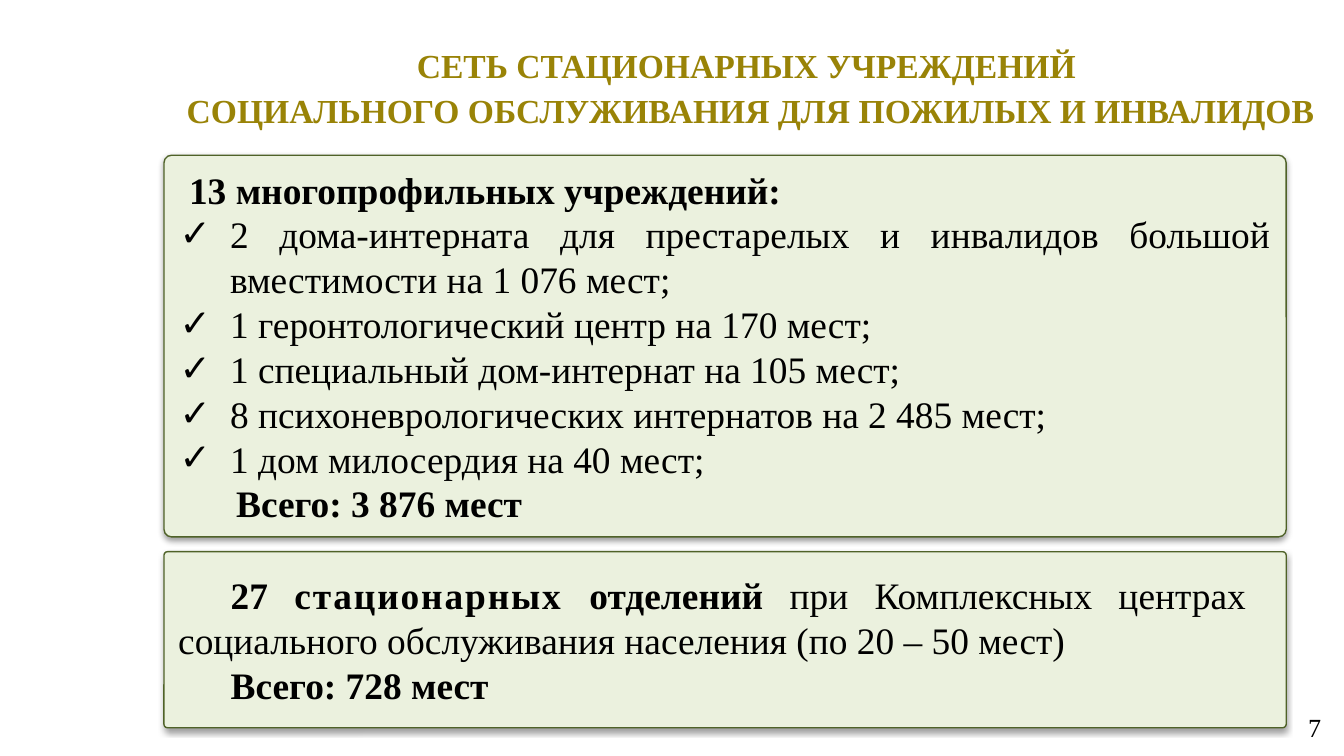
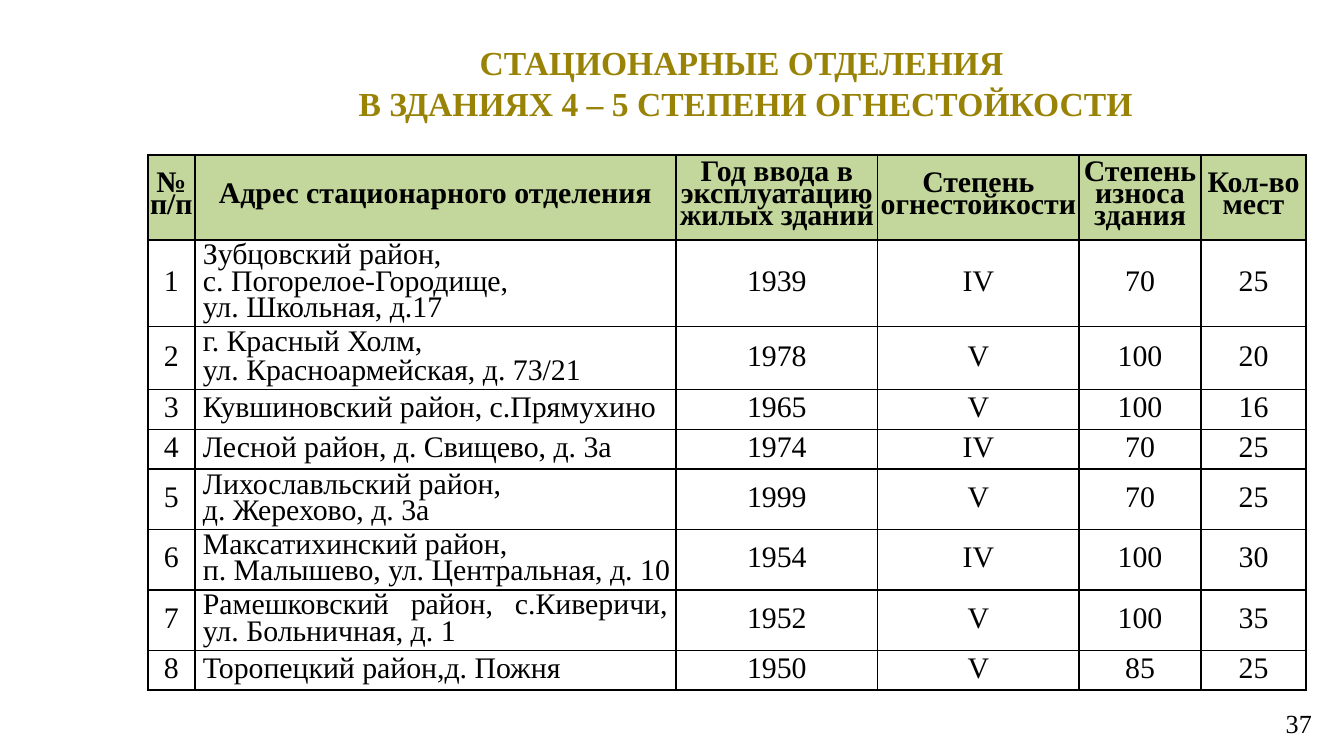
from dataclasses import dataclass
from typing import Any, Sequence

import lxml.etree
import pptx
import pptx.dml.color
import pptx.enum.shapes
import pptx.enum.text
import pptx.oxml.ns
import pptx.util

PX = 4572  # 200 px to the inch
FONT = "Times New Roman"
BLACK, GOLD = "000000", "998307"
PANEL_FILL, PANEL_LINE, HEADER_FILL = "EBF1DE", "4F6228", "C3D69B"
ALIGN = pptx.enum.text.PP_ALIGN
ANCHOR = pptx.enum.text.MSO_ANCHOR
Box = tuple[int, int, int, int]
INSETS: Box = (20, 10, 20, 10)


@dataclass(frozen=True)
class Run:
    text: str
    bold: bool = False
    spacing: int = 0


@dataclass(frozen=True)
class Para:
    runs: Sequence[Run]
    align: Any = ALIGN.JUSTIFY
    line: int = 24
    left: int = 0
    first: int = 0
    bullet: str = ""


@dataclass(frozen=True)
class Department:
    address: Sequence[str]
    year: str
    fire_class: str
    wear: str
    places: str
    height: int
    last_line: int = 14
    right_inset: int = 12


# Shared helpers
def px(n: int) -> int:
    return pptx.util.Emu(n * PX)


def rgb(color: str) -> pptx.dml.color.RGBColor:
    return pptx.dml.color.RGBColor.from_string(color)


def child(parent: Any, tag: str, **attrs: str) -> Any:
    return lxml.etree.SubElement(parent, pptx.oxml.ns.qn(tag), attrs)


def place(sp: Any, box: Box) -> None:
    sp.left, sp.top, sp.width, sp.height = map(px, box)


def add_run(p: Any, text: str, *, size: int, color: str = BLACK,
            bold: bool = False, spacing: int = 0) -> None:
    r = p.add_run()
    r.text = text
    r.font.name, r.font.size = FONT, pptx.util.Pt(size)
    r.font.bold, r.font.color.rgb = bold, rgb(color)
    if spacing:
        r.font._element.set("spc", str(spacing * 100))


def write(tf: Any, paras: Sequence[Para], *, size: int, color: str = BLACK) -> None:
    for i, para in enumerate(paras):
        p = tf.add_paragraph() if i else tf.paragraphs[0]
        pPr = p._p.get_or_add_pPr()
        pPr.set("marL", str(px(para.left)))
        pPr.set("indent", str(px(para.first)))
        if para.bullet:
            child(pPr, "a:buChar", char=para.bullet)
        else:
            child(pPr, "a:buNone")
        p.alignment = para.align
        p.line_spacing = pptx.util.Pt(para.line)
        p.space_before = p.space_after = pptx.util.Pt(0)
        for run in para.runs:
            add_run(p, run.text, size=size, color=color, bold=run.bold, spacing=run.spacing)


def set_frame(tf: Any, anchor: Any, insets: Box = INSETS) -> None:
    tf.word_wrap = True
    tf.auto_size = pptx.enum.text.MSO_AUTO_SIZE.NONE
    tf.vertical_anchor = anchor
    tf.margin_left, tf.margin_top, tf.margin_right, tf.margin_bottom = map(px, insets)


def add_title(slide: Any, lines: Sequence[str], box: Box, *, line: int,
              anchor: Any, insets: Box = INSETS) -> None:
    sp = slide.shapes.title
    place(sp, box)
    set_frame(sp.text_frame, anchor, insets)
    paras = [Para([Run(text, True)], ALIGN.CENTER, line) for text in lines]
    write(sp.text_frame, paras, size=18, color=GOLD)


def add_page_number(slide: Any, number: int, box: Box) -> None:
    sp = slide.shapes.add_textbox(*map(px, box))
    set_frame(sp.text_frame, ANCHOR.MIDDLE)
    write(sp.text_frame, [Para([Run(str(number))], ALIGN.RIGHT, 16)], size=14)


def style_panel(sp: Any, paras: Sequence[Para], right_inset: int = 20) -> None:
    sp.adjustments[0] = 0.02
    sp.fill.solid()
    sp.fill.fore_color.rgb = rgb(PANEL_FILL)
    sp.line.color.rgb = rgb(PANEL_LINE)
    sp.line.width = pptx.util.Pt(0.75)
    sp.shadow.inherit = False
    effects = sp._element.spPr.find(pptx.oxml.ns.qn("a:effectLst"))
    shadow = child(effects, "a:outerShdw", blurRad="40000", dist="20000",
                   dir="5400000", rotWithShape="0")
    child(child(shadow, "a:srgbClr", val=BLACK), "a:alpha", val="38000")
    set_frame(sp.text_frame, ANCHOR.MIDDLE, (20, 10, right_inset, 10))
    write(sp.text_frame, paras, size=20)


# Slide 1: network of institutions
INSTITUTIONS = (
    "2 дома-интерната для престарелых и инвалидов большой вместимости на 1 076 мест;",
    "1 геронтологический центр на 170 мест;",
    "1 специальный дом-интернат на 105 мест;",
    "8 психоневрологических интернатов на 2 485 мест;",
    "1 дом милосердия на 40 мест;",
)


def build_network(prs: Any) -> None:
    slide = prs.slides.add_slide(prs.slide_layouts[1])
    add_title(slide, ("СЕТЬ СТАЦИОНАРНЫХ УЧРЕЖДЕНИЙ",
                      " СОЦИАЛЬНОГО ОБСЛУЖИВАНИЯ ДЛЯ ПОЖИЛЫХ И ИНВАЛИДОВ"),
              (222, 50, 1778, 154), line=24, anchor=ANCHOR.MIDDLE)

    # The list placeholder takes the rounded outline of a panel
    body = slide.placeholders[1]
    place(body, (244, 231, 1670, 568))
    child(child(body._element.spPr, "a:prstGeom", prst="roundRect"), "a:avLst")
    style_panel(body, [
        Para([Run("13 многопрофильных учреждений:", True)], left=14),
        *(Para([Run(text)], left=75, first=-75, bullet="✓") for text in INSTITUTIONS),
        Para([Run("Всего: 3 876 мест", True)], left=84),
    ])

    departments = slide.shapes.add_shape(
        pptx.enum.shapes.MSO_SHAPE.ROUNDED_RECTANGLE, *map(px, (244, 821, 1670, 262)))
    style_panel(departments, [
        Para([Run("27 ", True), Run("стационарных", True, 1), Run(" отделений ", True),
              Run("при Комплексных центрах социального обслуживания населения "
                  "(по 20 – 50 мест)")], first=78),
        Para([Run("Всего: 728 мест", True)], left=78),
    ], right_inset=58)
    add_page_number(slide, 7, (1536, 1061, 450, 44))


# Slide 2: table of departments
HEADERS = ("№ п/п", "Адрес стационарного отделения",
           "Год ввода в эксплуатацию жилых зданий", "Степень огнестойкости",
           "Степень износа здания", "Кол-во мест")
COLUMNS = (70, 716, 300, 300, 181, 157)
HEADER_HEIGHT = 126
DEPARTMENTS = (
    Department(("Зубцовский район, ", "с. Погорелое-Городище,", "ул. Школьная, д.17"),
               "1939", "IV", "70", "25", 129),
    Department(("г. Красный Холм, ", "ул. Красноармейская, д. 73/21"),
               "1978", "V", "100", "20", 94, last_line=16),
    Department(("Кувшиновский район, с.Прямухино",), "1965", "V", "100", "16", 59),
    Department(("Лесной район, д. Свищево, д. 3а",), "1974", "IV", "70", "25", 59),
    Department(("Лихославльский район, ", "д. Жерехово, д. 3а"),
               "1999", "V", "70", "25", 90),
    Department(("Максатихинский район, ", "п. Малышево, ул. Центральная, д. 10"),
               "1954", "IV", "100", "30", 90, right_inset=0),
    Department(("Рамешковский район, с.Киверичи, ул. Больничная, д. 1",),
               "1952", "V", "100", "35", 90),
    Department(("Торопецкий район,д. Пожня",), "1950", "V", "85", "25", 59),
)


def set_cell(cell: Any, paras: Sequence[Para], *, left: int = 12, right: int = 12,
             fill: str = "") -> None:
    tcPr = cell._tc.get_or_add_tcPr()
    for side in ("a:lnL", "a:lnR", "a:lnT", "a:lnB"):
        ln = child(tcPr, side, w="12700")
        child(child(ln, "a:solidFill"), "a:srgbClr", val=BLACK)
    if fill:
        cell.fill.solid()
        cell.fill.fore_color.rgb = rgb(fill)
    else:
        cell.fill.background()
    cell.vertical_anchor = ANCHOR.MIDDLE
    cell.margin_left, cell.margin_right = px(left), px(right)
    cell.margin_top, cell.margin_bottom = px(7), px(3)
    write(cell.text_frame, paras, size=16)


def build_departments(prs: Any) -> None:
    slide = prs.slides.add_slide(prs.slide_layouts[5])
    add_title(slide, ("СТАЦИОНАРНЫЕ ОТДЕЛЕНИЯ ", "В ЗДАНИЯХ 4 – 5 СТЕПЕНИ ОГНЕСТОЙКОСТИ"),
              (220, 54, 1780, 136), line=22, anchor=ANCHOR.TOP, insets=(14, 7, 14, 7))

    heights = (HEADER_HEIGHT, *(d.height for d in DEPARTMENTS))
    table = slide.shapes.add_table(len(heights), len(COLUMNS), px(220), px(231),
                                   px(sum(COLUMNS)), px(sum(heights))).table
    table.first_row = table.horz_banding = False
    for column, width in zip(table.columns, COLUMNS):
        column.width = px(width)
    for row, height in zip(table.rows, heights):
        row.height = px(height)

    for col, text in enumerate(HEADERS):
        set_cell(table.cell(0, col), [Para([Run(text, True)], ALIGN.CENTER, 12)],
                 left=0, right=0, fill=HEADER_FILL)
    for n, d in enumerate(DEPARTMENTS, 1):
        address = [Para([Run(text)], line=14) for text in d.address[:-1]]
        address.append(Para([Run(d.address[-1])], line=d.last_line))
        set_cell(table.cell(n, 1), address, right=d.right_inset)
        values = {0: str(n), 2: d.year, 3: d.fire_class, 4: d.wear, 5: d.places}
        for col, text in values.items():
            set_cell(table.cell(n, col), [Para([Run(text)], ALIGN.CENTER, 14)])
    add_page_number(slide, 37, (1330, 1037, 642, 80))


def main() -> None:
    prs = pptx.Presentation()
    prs.slide_width, prs.slide_height = px(2000), px(1125)
    build_network(prs)
    build_departments(prs)
    prs.save("out.pptx")


if __name__ == "__main__":
    main()
